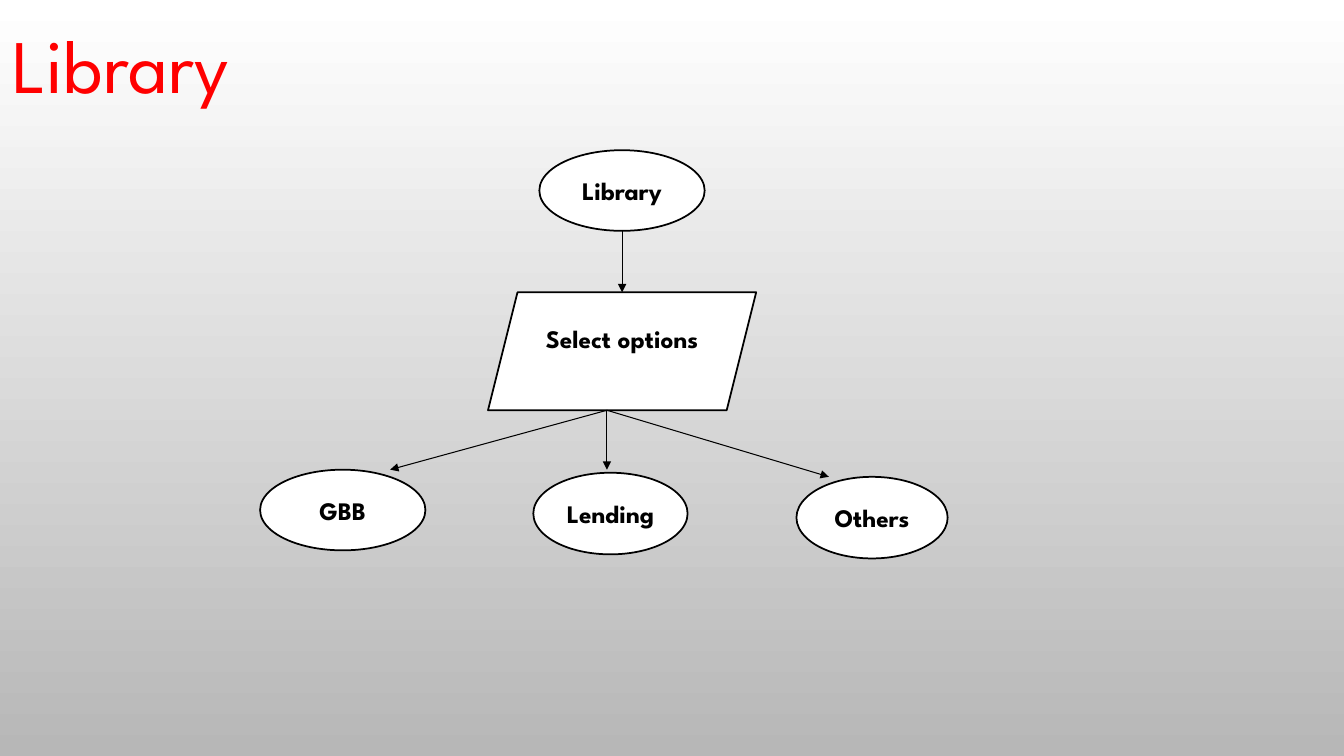
from dataclasses import dataclass

from lxml import etree
from pptx import Presentation
from pptx import util as u
from pptx.dml.color import RGBColor
from pptx.enum import shapes, text
from pptx.oxml import ns


@dataclass(frozen=True)
class Theme:
    font: str = "League Spartan"
    ink: str = "000000"
    node_fill: str = "FFFFFF"
    title_ink: str = "FF0000"
    backdrop: tuple[str, str] = ("FFFFFF", "B7B7B7")
    title_size: float = 54
    node_size: float = 18
    outline: float = 1.25
    arrow: float = 0.75


@dataclass(frozen=True)
class Node:
    label: str
    left: float
    top: float
    width: float
    height: float
    kind: shapes.MSO_SHAPE = shapes.MSO_SHAPE.OVAL
    bottom_inset: float = 0.05


@dataclass(frozen=True)
class Arrow:
    start: tuple[float, float]
    end: tuple[float, float]


THEME = Theme()
SLIDE_WIDTH = u.Inches(13.33)
SLIDE_HEIGHT = u.Inches(7.5)

NODES = [
    Node("Library", 40.13, 19.87, 12.3, 10.67),
    Node("Select options", 36.31, 38.67, 19.95, 15.6,
         shapes.MSO_SHAPE.PARALLELOGRAM, 0.3),
    Node("GBB", 19.35, 62.13, 12.3, 10.67),
    Node("Lending", 39.68, 62.53, 11.48, 10.8),
    Node("Others", 59.26, 63.07, 11.25, 10.8),
]

BRANCH = (45.16, 54.27)
BRANCH_ENDS = [(29.03, 62.13), (45.16, 62.13), (61.67, 63.07)]
ARROWS = [Arrow((46.29, 30.53), (46.29, 38.67))]
ARROWS += [Arrow(BRANCH, end) for end in BRANCH_ENDS]


def across(percent: float) -> int:
    return round(SLIDE_WIDTH * percent / 100)


def down(percent: float) -> int:
    return round(SLIDE_HEIGHT * percent / 100)


def write(frame, wording: str, *, size: float, color: str, bold: bool = False,
          anchor=text.MSO_ANCHOR.MIDDLE, bottom_inset: float = 0.05) -> None:
    frame.word_wrap = True
    frame.vertical_anchor = anchor
    frame.margin_bottom = u.Inches(bottom_inset)
    paragraph = frame.paragraphs[0]
    paragraph.alignment = text.PP_ALIGN.CENTER
    run = paragraph.add_run()
    run.text = wording
    run.font.name = THEME.font
    run.font.size = u.Pt(size)
    run.font.bold = bold
    run.font.color.rgb = RGBColor.from_string(color)


def paint_backdrop(slide) -> None:
    fill = slide.background.fill
    fill.gradient()
    fill.gradient_angle = 270
    for stop, color in zip(fill.gradient_stops, THEME.backdrop):
        stop.color.rgb = RGBColor.from_string(color)


def draw_node(slide, node: Node) -> None:
    step = slide.shapes.add_shape(node.kind, across(node.left), down(node.top),
                                  across(node.width), down(node.height))
    step.shadow.inherit = False
    step.fill.solid()
    step.fill.fore_color.rgb = RGBColor.from_string(THEME.node_fill)
    step.line.color.rgb = RGBColor.from_string(THEME.ink)
    step.line.width = u.Pt(THEME.outline)
    write(step.text_frame, node.label, size=THEME.node_size, color=THEME.ink,
          bold=True, bottom_inset=node.bottom_inset)


def draw_arrow(slide, arrow: Arrow) -> None:
    flow = slide.shapes.add_connector(
        shapes.MSO_CONNECTOR.STRAIGHT,
        across(arrow.start[0]), down(arrow.start[1]),
        across(arrow.end[0]), down(arrow.end[1]))
    flow.line.color.rgb = RGBColor.from_string(THEME.ink)
    flow.line.width = u.Pt(THEME.arrow)
    etree.SubElement(flow.line._get_or_add_ln(), ns.qn("a:tailEnd"), type="triangle")
    etree.SubElement(flow._element.spPr, ns.qn("a:effectLst"))


def draw_title(slide) -> None:
    title = slide.shapes.add_textbox(0, down(1.73), across(19.35), down(13.47))
    write(title.text_frame, "Library ", size=THEME.title_size,
          color=THEME.title_ink, anchor=text.MSO_ANCHOR.TOP)


def main() -> None:
    deck = Presentation()
    deck.slide_width = SLIDE_WIDTH
    deck.slide_height = SLIDE_HEIGHT
    slide = deck.slides.add_slide(deck.slide_layouts[6])
    paint_backdrop(slide)
    for node in NODES:
        draw_node(slide, node)
    for arrow in ARROWS:
        draw_arrow(slide, arrow)
    draw_title(slide)
    deck.save("out.pptx")


if __name__ == "__main__":
    main()
